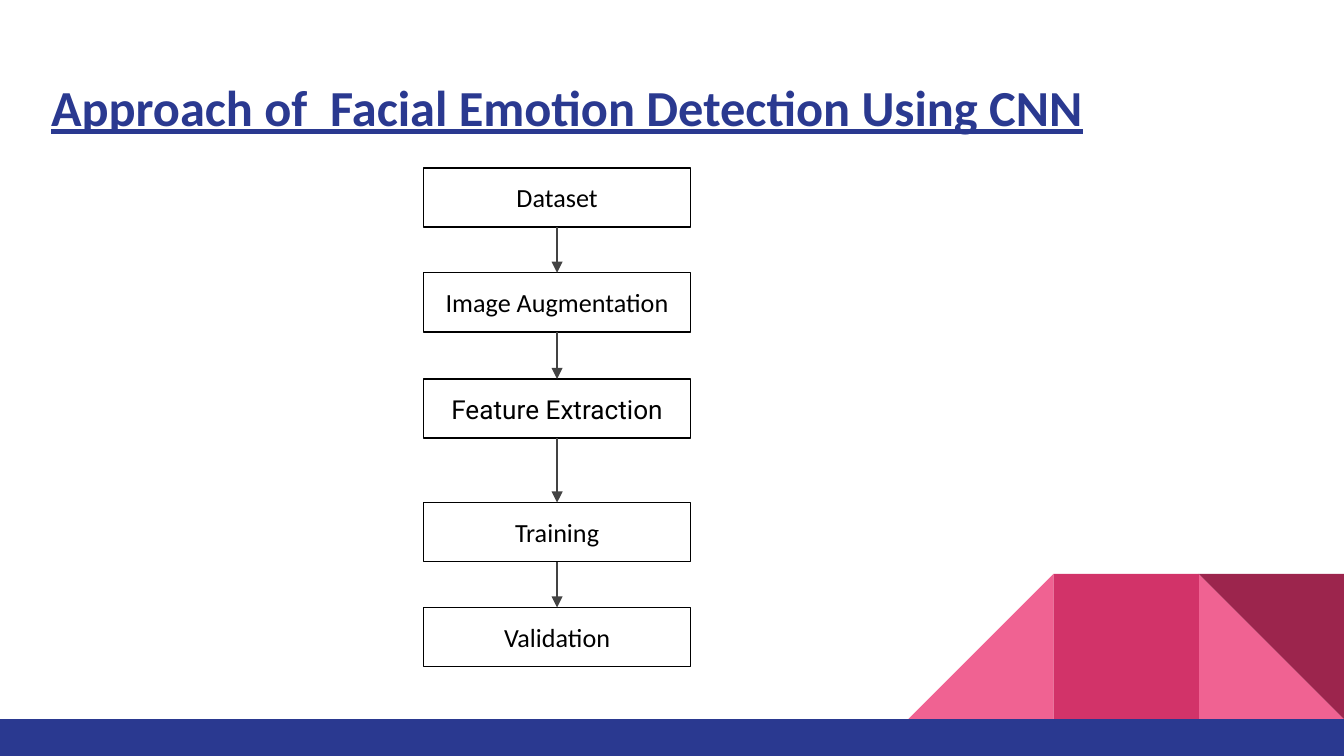
from lxml import etree
from pptx import Presentation
from pptx.dml.color import RGBColor
from pptx.enum.shapes import MSO_CONNECTOR, MSO_SHAPE
from pptx.enum.text import MSO_ANCHOR, PP_ALIGN
from pptx.oxml.ns import qn
from pptx.util import Inches, Pt

RECT = MSO_SHAPE.RECTANGLE
WEDGE = MSO_SHAPE.RIGHT_TRIANGLE
STRAIGHT = MSO_CONNECTOR.STRAIGHT
MIDDLE = MSO_ANCHOR.MIDDLE
LEFT, CENTER = PP_ALIGN.LEFT, PP_ALIGN.CENTER

HEX = {"navy": "2A3990", "pink": "F06292", "rose": "D23369",
       "wine": "9C254D", "black": "000000", "gray": "434343"}
COLOR = {name: RGBColor.from_string(code) for name, code in HEX.items()}

prs = Presentation()
prs.slide_width = Inches(10)
prs.slide_height = Inches(10) * 9 // 16
slide = prs.slides.add_slide(prs.slide_layouts[5])
shapes = slide.shapes


def add_block(kind, x, y, w, h, fill=None):
    """Add a flat shape, filled without a line or outlined without a fill."""
    block = shapes.add_shape(kind, Inches(x), Inches(y), Inches(w), Inches(h))
    block.shadow.inherit = False
    if fill:
        block.fill.solid()
        block.fill.fore_color.rgb = COLOR[fill]
        block.line.fill.background()
    else:
        block.fill.background()
        block.line.color.rgb = COLOR["black"]
        block.line.width = Pt(0.75)
    return block


def set_text(shape, text, size, color, align, face="Calibri"):
    frame = shape.text_frame
    frame.text = text
    frame.word_wrap = True
    frame.vertical_anchor = MIDDLE
    frame.margin_left = frame.margin_right = Inches(0.1)
    frame.margin_top = frame.margin_bottom = Inches(0.1)
    para = frame.paragraphs[0]
    para.alignment = align
    font = para.runs[0].font
    font.name, font.size = face, Pt(size)
    font.color.rgb = COLOR[color]
    return font


# Corner ornament and footer band
side, top = 1.08, 4.27
right = 10 - side
add_block(WEDGE, right, top, side, side, "pink")
ramp = add_block(WEDGE, right - 2 * side, top, side, side, "pink")
ramp.element.spPr.xfrm.set("flipH", "1")
add_block(RECT, right - side, top, side, side, "rose")
add_block(WEDGE, right, top, side, side, "wine").rotation = 180
add_block(RECT, 0, top + side, 10, 0.28, "navy")

# Title
title = shapes.title
title.left, title.top = Inches(0.28), Inches(0.46)
title.width, title.height = Inches(9.32), Inches(0.66)
font = set_text(title, "Approach of  Facial Emotion Detection Using CNN",
                27, "navy", LEFT)
font.bold = font.underline = True

# Flow chart
steps = [("Dataset", 1.25, "Calibri"),
         ("Image Augmentation", 2.03, "Calibri"),
         ("Feature Extraction", 2.82, "Roboto"),
         ("Training", 3.74, "Calibri"),
         ("Validation", 4.52, "Calibri")]
boxes = []
for label, y, face in steps:
    box = add_block(RECT, 3.15, y, 1.99, 0.44)
    set_text(box, label, 14, "black", CENTER, face)
    boxes.append(box)

for start, end in zip(boxes, boxes[1:]):
    arrow = shapes.add_connector(STRAIGHT, 0, 0, 0, 0)
    arrow.begin_connect(start, 2)
    arrow.end_connect(end, 0)
    arrow.line.color.rgb = COLOR["gray"]
    arrow.line.width = Pt(0.75)
    ln = arrow.element.spPr.find(qn("a:ln"))
    etree.SubElement(ln, qn("a:tailEnd"), type="triangle")
    etree.SubElement(arrow.element.spPr, qn("a:effectLst"))

prs.save("out.pptx")
